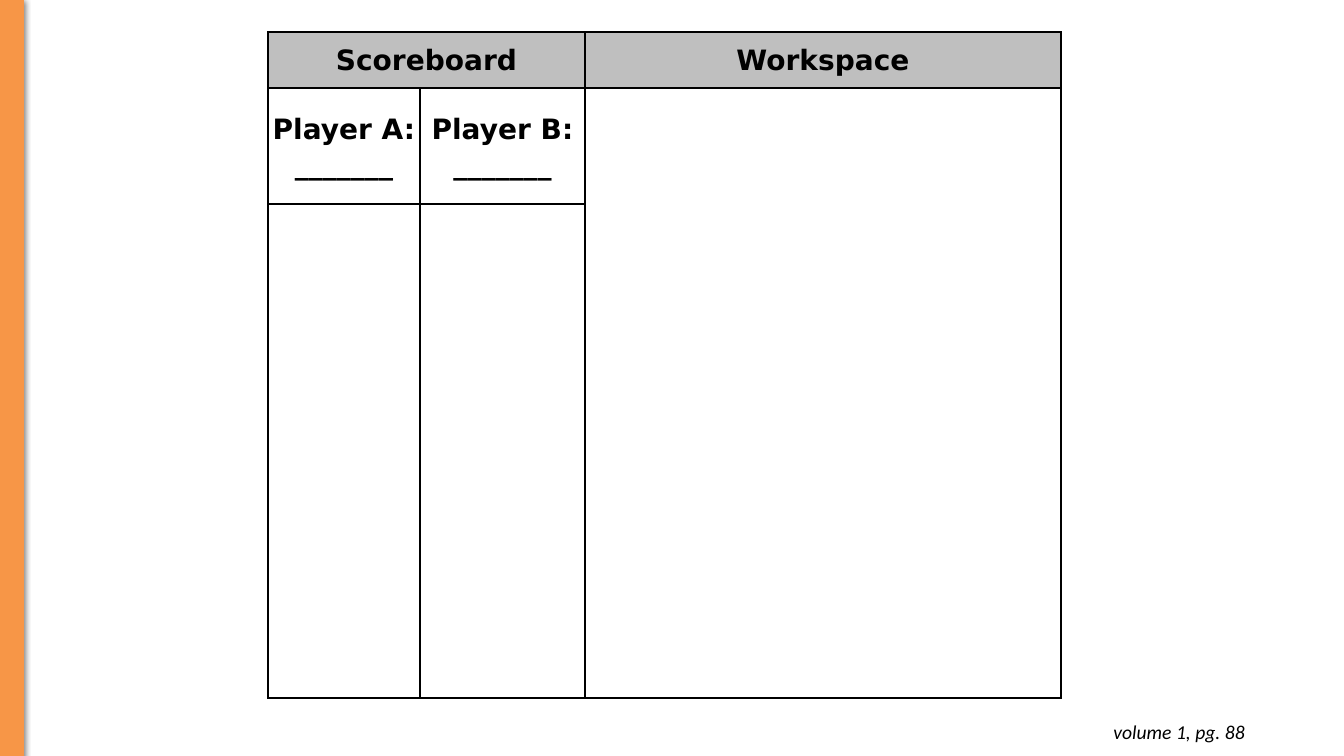
from dataclasses import dataclass

from lxml.etree import SubElement
from pptx import Presentation
from pptx.dml.color import RGBColor
from pptx.enum.shapes import MSO_SHAPE
from pptx.enum.text import MSO_ANCHOR, PP_ALIGN
from pptx.oxml import parse_xml
from pptx.oxml.ns import nsdecls, qn
from pptx.util import Pt


@dataclass(frozen=True)
class Theme:
    ink: str = "000000"
    paper: str = "FFFFFF"
    header: str = "BFBFBF"
    accent: str = "F79647"
    table_font: str = "DejaVu Sans"
    note_font: str = "Calibri"
    table_size: int = 20
    note_size: int = 14


THEME = Theme()
BLANK_LAYOUT = 6
COLUMNS = (152, 165, 476)
ROWS = (56, 116, 494)


def px(length):
    return round(length * 914400 / 100.8)


def box(*lengths):
    return [px(length) for length in lengths]


def apply_format(target, values):
    for attribute, value in values.items():
        setattr(target, attribute, value)


def write_lines(frame, lines, paragraph_format, font_format):
    for index, line in enumerate(lines):
        paragraph = frame.add_paragraph() if index else frame.paragraphs[0]
        apply_format(paragraph, paragraph_format)
        run = paragraph.add_run()
        run.text = line
        apply_format(run.font, font_format)
        run.font.color.rgb = RGBColor.from_string(THEME.ink)


def add_page_note(slide, words):
    note = slide.shapes.add_textbox(*box(806, 710, 449, 44))
    margins = {f"margin_{side}": px(10) for side in ("left", "top", "right", "bottom")}
    apply_format(note.text_frame, {"word_wrap": True, **margins})
    write_lines(note.text_frame, [words], {"alignment": PP_ALIGN.RIGHT},
                {"name": THEME.note_font, "size": Pt(THEME.note_size), "italic": True})


def add_side_bar(slide):
    bar = slide.shapes.add_shape(MSO_SHAPE.RECTANGLE, *box(0, -1, 24, 757))
    accent = RGBColor.from_string(THEME.accent)
    bar.fill.solid()
    bar.fill.fore_color.rgb = accent
    bar.line.color.rgb = accent
    bar.line.width = Pt(0.75)
    # Soft shadow below the bar
    bar.shadow.inherit = False
    effects = bar._element.spPr.find(qn("a:effectLst"))
    effects.append(parse_xml(
        f'<a:outerShdw {nsdecls("a")} blurRad="{Pt(4.5)}" dist="{Pt(1.5)}" '
        f'dir="5400000" rotWithShape="0"><a:srgbClr val="{THEME.ink}">'
        '<a:alpha val="50000"/></a:srgbClr></a:outerShdw>'))


def style_cell(cell, fill):
    # Borders come before the fill in the cell properties
    properties = cell._tc.get_or_add_tcPr()
    for edge in ("lnL", "lnR", "lnT", "lnB"):
        border = SubElement(properties, qn(f"a:{edge}"), w=str(Pt(1)))
        ink = SubElement(border, qn("a:solidFill"))
        SubElement(ink, qn("a:srgbClr"), val=THEME.ink)
    cell.fill.solid()
    cell.fill.fore_color.rgb = RGBColor.from_string(fill)


def fill_cell(cell, lines):
    apply_format(cell, {"vertical_anchor": MSO_ANCHOR.MIDDLE, "margin_left": px(3),
                        "margin_right": px(3), "margin_top": 0, "margin_bottom": 0})
    write_lines(cell.text_frame, lines,
                {"alignment": PP_ALIGN.CENTER, "line_spacing": 1.07},
                {"name": THEME.table_font, "size": Pt(THEME.table_size), "bold": True})


def add_game_board(slide, labels):
    board = slide.shapes.add_table(
        len(ROWS), len(COLUMNS), *box(268, 32, sum(COLUMNS), sum(ROWS))).table
    apply_format(board, {"first_row": False, "horz_banding": False})
    for column, width in zip(board.columns, COLUMNS):
        column.width = px(width)
    for row_index, (row, height) in enumerate(zip(board.rows, ROWS)):
        row.height = px(height)
        for cell in row.cells:
            style_cell(cell, THEME.paper if row_index else THEME.header)
    # Scoreboard heading spans both players; workspace runs to the bottom
    board.cell(0, 0).merge(board.cell(0, 1))
    board.cell(1, 2).merge(board.cell(2, 2))
    for position, lines in labels.items():
        fill_cell(board.cell(*position), lines)


def main():
    deck = Presentation()
    apply_format(deck, {"slide_width": px(1344), "slide_height": px(756)})
    slide = deck.slides.add_slide(deck.slide_layouts[BLANK_LAYOUT])

    add_page_note(slide, "volume 1, pg. 88")
    add_side_bar(slide)
    add_game_board(slide, {
        (0, 0): ["Scoreboard"],
        (0, 2): ["Workspace"],
        (1, 0): ["Player A:", "_______"],
        (1, 1): ["Player B:", "_______"],
    })
    deck.save("out.pptx")


if __name__ == "__main__":
    main()
